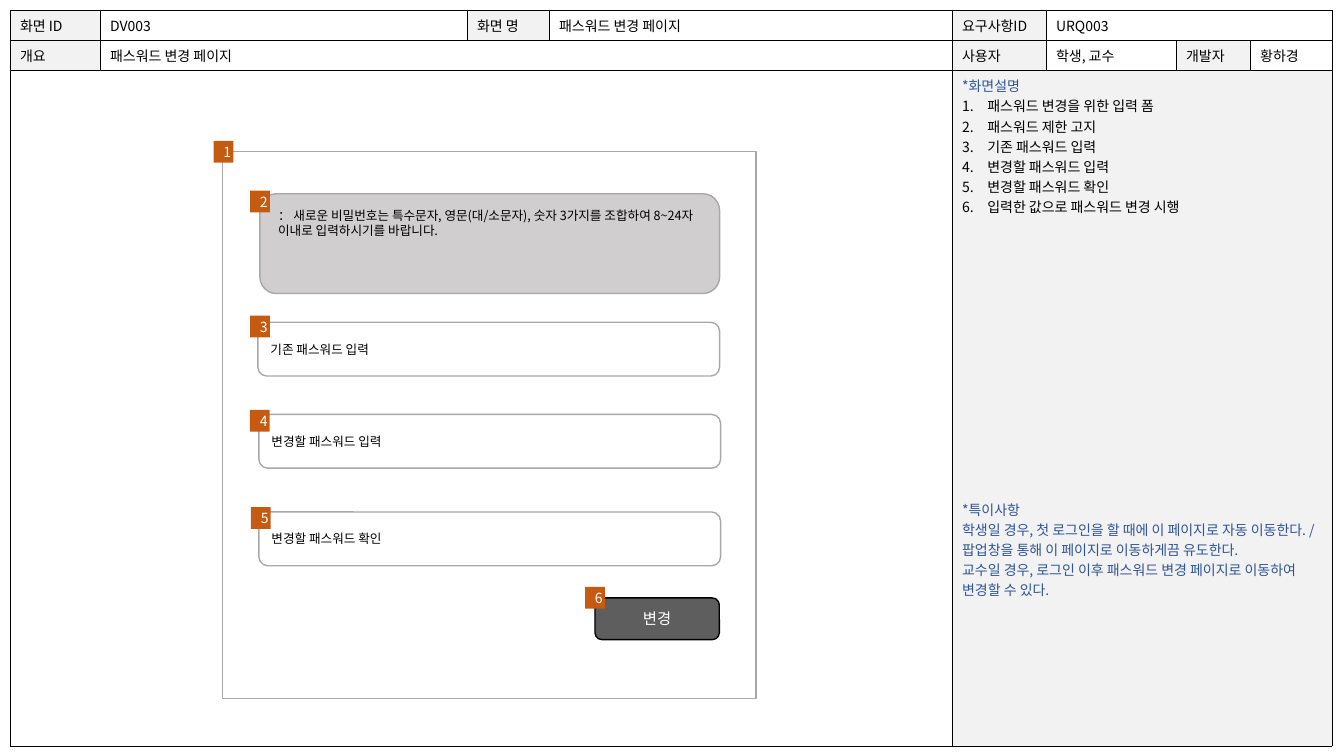
from dataclasses import dataclass

from lxml import etree
from pptx import Presentation
from pptx.dml.color import RGBColor
from pptx.enum.shapes import MSO_SHAPE
from pptx.enum.text import MSO_ANCHOR, PP_ALIGN
from pptx.oxml.ns import qn
from pptx.util import Pt

RECTANGLE, ROUNDED = MSO_SHAPE.RECTANGLE, MSO_SHAPE.ROUNDED_RECTANGLE
MIDDLE = MSO_ANCHOR.MIDDLE
LEFT, CENTER = PP_ALIGN.LEFT, PP_ALIGN.CENTER
FONT = "Noto Sans CJK KR"
COLORS = {
    "black": "000000", "white": "FFFFFF", "label": "F2F2F2", "blue": "2F5597",
    "outline": "A8A8A8", "notice": "D0CECE", "button": "5E5E5E", "badge": "C55A11",
}


@dataclass
class CellSpec:
    row: int
    column: int
    text: str = ""
    span: int = 1
    fill: str = "white"


@dataclass
class Line:
    text: str
    color: str = "blue"
    numbered: bool = False
    space_before: float = 0


@dataclass
class Box:
    left: float
    top: float
    width: float
    height: float
    fill: str = "white"
    outline: str = "outline"
    kind: int = ROUNDED
    text: str = ""
    size: float = 9
    color: str = "black"
    align: int = LEFT


COLUMN_WIDTHS = [64.3, 262.1, 58.6, 287.9, 67.1, 92.9, 52.9, 58.6]
ROW_HEIGHTS = [20.2, 20.9, 482.4]
CELLS = [
    CellSpec(0, 0, "화면 ID", fill="label"),
    CellSpec(0, 1, "DV003"),
    CellSpec(0, 2, "화면 명", fill="label"),
    CellSpec(0, 3, "패스워드 변경 페이지"),
    CellSpec(0, 4, "요구사항ID", fill="label"),
    CellSpec(0, 5, "URQ003", span=3),
    CellSpec(1, 0, "개요", fill="label"),
    CellSpec(1, 1, "패스워드 변경 페이지", span=3),
    CellSpec(1, 4, "사용자", fill="label"),
    CellSpec(1, 5, "학생, 교수"),
    CellSpec(1, 6, "개발자", fill="label"),
    CellSpec(1, 7, "황하경"),
    CellSpec(2, 0, span=4),
    CellSpec(2, 4, span=4, fill="label"),
]
STEPS = [
    "패스워드 변경을 위한 입력 폼", "패스워드 제한 고지", "기존 패스워드 입력",
    "변경할 패스워드 입력", "변경할 패스워드 확인", "입력한 값으로 패스워드 변경 시행",
]
DESCRIPTION = [
    Line("*화면설명"),
    *[Line(step, "black", numbered=True) for step in STEPS],
    Line("*특이사항", space_before=201.6),
    Line("학생일 경우, 첫 로그인을 할 때에 이 페이지로 자동 이동한다. / "
         "팝업창을 통해 이 페이지로 이동하게끔 유도한다."),
    Line("교수일 경우, 로그인 이후 패스워드 변경 페이지로 이동하여 변경할 수 있다."),
]
NOTICE = ("： 새로운 비밀번호는 특수문자, 영문(대/소문자), 숫자 3가지를 조합하여 "
          "8~24자 이내로 입력하시기를 바랍니다.")
FORM = Box(159.1, 108.2, 380.9, 390.6, kind=RECTANGLE)
NOTICE_PANEL = Box(185.6, 138.4, 328.4, 71.3, fill="notice")
FIELDS = [
    Box(left, top, 329.8, 38.4, text=text)
    for left, top, text in [(184.2, 230.2, "기존 패스워드 입력"),
                            (184.9, 296, "변경할 패스워드 입력"),
                            (184.9, 365.7, "변경할 패스워드 확인")]
]
BUTTON = Box(425, 427.1, 88.8, 29.8, "button", "black", text="변경",
             size=11, color="white", align=CENTER)
BADGE_CORNERS = [(152.5, 100.6), (178.6, 136.2), (178.6, 225.4),
                 (178.5, 292.8), (179.2, 362.2), (417.9, 419.2)]


def rgb(name: str) -> RGBColor:
    return RGBColor.from_string(COLORS[name])


def style_paragraph(paragraph, size: float, color: str, align: int = LEFT) -> None:
    paragraph.alignment = align
    for run in paragraph.runs:
        run.font.size = Pt(size)
        run.font.name = FONT
        run.font.color.rgb = rgb(color)
        properties = run.font._element
        east_asian = etree.Element(qn("a:ea"), typeface=FONT)
        properties.find(qn("a:latin")).addnext(east_asian)


def add_borders(cell) -> None:
    properties = cell._tc.get_or_add_tcPr()
    for side in ("a:lnL", "a:lnR", "a:lnT", "a:lnB"):
        border = etree.SubElement(properties, qn(side), w=str(Pt(0.5)))
        fill = etree.SubElement(border, qn("a:solidFill"))
        etree.SubElement(fill, qn("a:srgbClr"), val=COLORS["black"])


def fill_description(text_frame) -> None:
    for index, line in enumerate(DESCRIPTION):
        paragraph = text_frame.paragraphs[0] if index == 0 else text_frame.add_paragraph()
        paragraph.text = line.text
        if line.space_before:
            paragraph.space_before = Pt(line.space_before)
        if line.numbered:
            properties = paragraph._p.get_or_add_pPr()
            properties.set("marL", str(Pt(18)))
            properties.set("indent", str(Pt(-18)))
            etree.SubElement(properties, qn("a:buFont"), typeface="+mj-lt")
            etree.SubElement(properties, qn("a:buAutoNum"), type="arabicPeriod")
        style_paragraph(paragraph, 10, line.color)


def add_specification_table(slide) -> None:
    frame = slide.shapes.add_table(
        len(ROW_HEIGHTS), len(COLUMN_WIDTHS), Pt(7.2), Pt(7.2),
        Pt(sum(COLUMN_WIDTHS)), Pt(sum(ROW_HEIGHTS)))
    table = frame.table
    table.first_row = table.horz_banding = False
    for column, width in zip(table.columns, COLUMN_WIDTHS):
        column.width = Pt(width)
    for row, height in zip(table.rows, ROW_HEIGHTS):
        row.height = Pt(height)
    for spec in CELLS:
        for column in range(spec.column, spec.column + spec.span):
            cell = table.cell(spec.row, column)
            add_borders(cell)
            cell.fill.solid()
            cell.fill.fore_color.rgb = rgb(spec.fill)
        cell = table.cell(spec.row, spec.column)
        if spec.span > 1:
            cell.merge(table.cell(spec.row, spec.column + spec.span - 1))
        if spec.text:
            cell.text_frame.text = spec.text
            style_paragraph(cell.text_frame.paragraphs[0], 10, "black")
    fill_description(table.cell(2, 4).text_frame)


def add_box(slide, box: Box) -> None:
    shape = slide.shapes.add_shape(
        box.kind, Pt(box.left), Pt(box.top), Pt(box.width), Pt(box.height))
    shape.shadow.inherit = False
    shape.fill.solid()
    shape.fill.fore_color.rgb = rgb(box.fill)
    if box.outline:
        shape.line.color.rgb = rgb(box.outline)
        shape.line.width = Pt(1)
    else:
        shape.line.fill.background()
    if box.text:
        shape.text_frame.text = box.text
        shape.text_frame.vertical_anchor = MIDDLE
        style_paragraph(shape.text_frame.paragraphs[0], box.size, box.color, box.align)


def add_notice_text(slide) -> None:
    text_box = slide.shapes.add_textbox(Pt(191.5), Pt(144.7), Pt(323.3), Pt(28.8))
    text_box.text_frame.word_wrap = True
    text_box.text_frame.text = NOTICE
    style_paragraph(text_box.text_frame.paragraphs[0], 9, "black")


def main() -> None:
    presentation = Presentation()
    presentation.slide_width, presentation.slide_height = Pt(960), Pt(540)
    slide = presentation.slides.add_slide(presentation.slide_layouts[6])

    # Specification table
    add_specification_table(slide)

    # Password form
    add_box(slide, FORM)
    add_box(slide, NOTICE_PANEL)
    add_notice_text(slide)
    for box in [*FIELDS, BUTTON]:
        add_box(slide, box)

    # Numbered badges
    for number, (left, top) in enumerate(BADGE_CORNERS, start=1):
        add_box(slide, Box(left, top, 14.2, 15.6, "badge", "", RECTANGLE,
                           str(number), 10, "white", CENTER))

    presentation.save("out.pptx")


if __name__ == "__main__":
    main()
